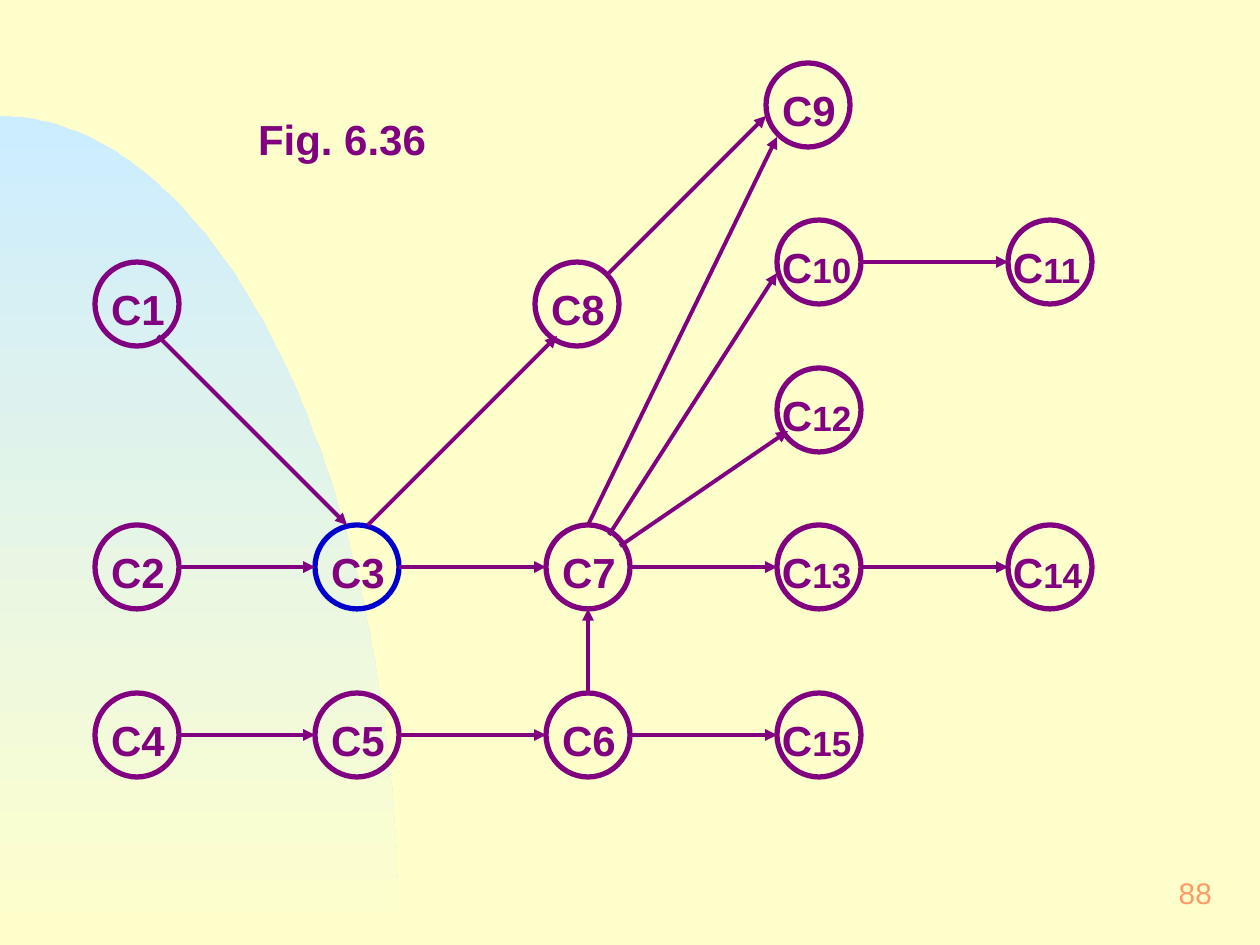
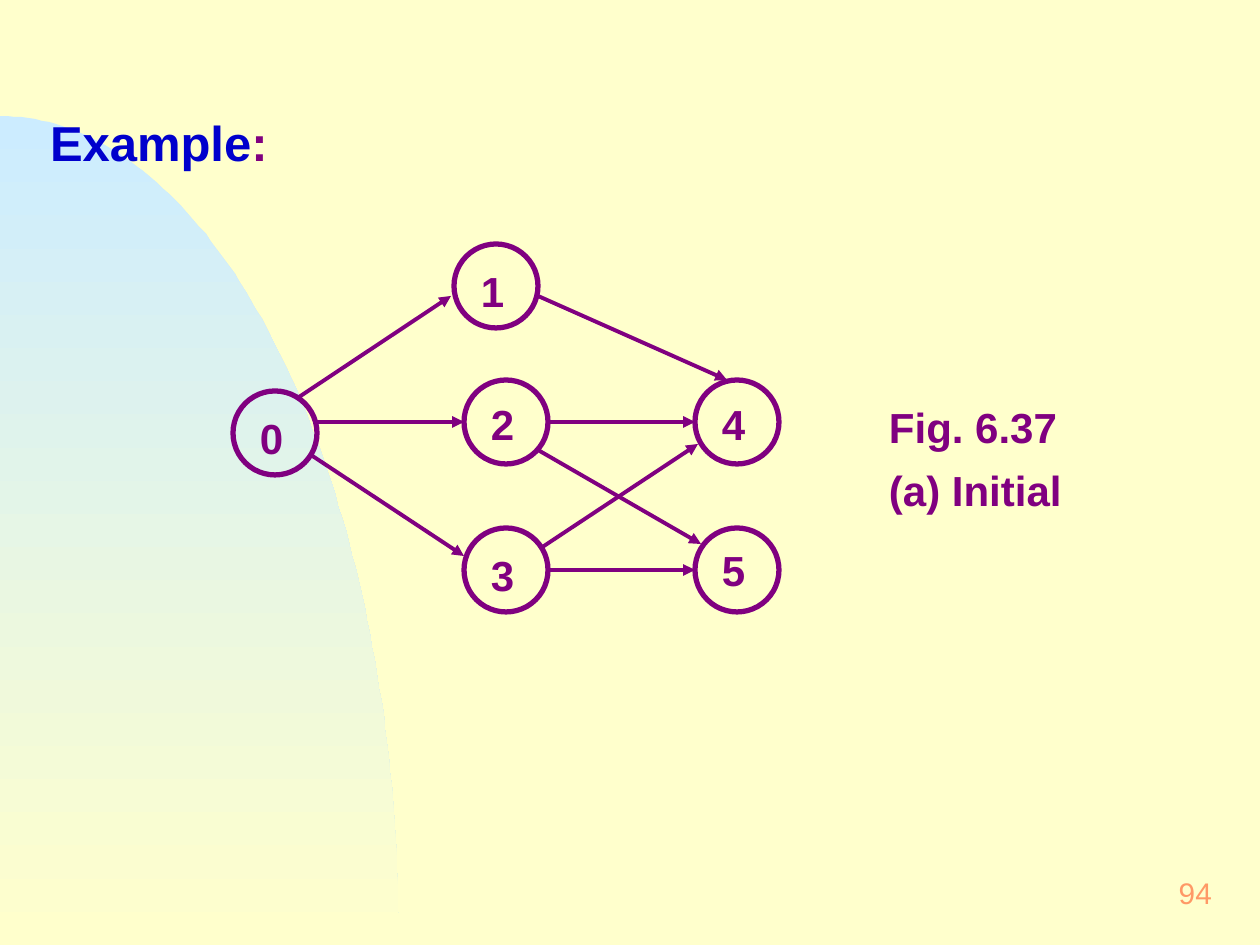
import math
from dataclasses import dataclass

import pptx
import pptx.dml.color
import pptx.enum.shapes
import pptx.enum.text
import pptx.oxml
import pptx.oxml.ns
import pptx.util


@dataclass(frozen=True)
class Theme:
    font: str = "Arial"
    background: str = "FFFFCC"
    sky: str = "CCECFF"
    purple: str = "800080"
    blue: str = "0000CC"
    orange: str = "FF9966"
    heading: int = 28
    label: int = 24
    index: int = 20
    number: int = 17
    circle_line: float = 3
    arrow_line: float = 2.25
    paragraph_gap: int = 7


THEME = Theme()
EMU_PER_PX = 914400 / 126
WIDTH, HEIGHT = 1260, 945
DIAMETER = 84
LABEL_HEIGHT = 65
LABEL_DROP = 14
LABEL_SHIFT_AND_WIDTH = {1: (11, 53), 2: (0, 94), 3: (-11, 126)}
ARC_RADII = (399, 829)
ARC_STEPS = 90
NUMBER_BOX = (966, 861, 262, 63)

LEFT_1, LEFT_2, LEFT_3, LEFT_4, LEFT_5 = 95, 315, 546, 777, 1008
ROW_MAIN, ROW_BOTTOM, ROW_TOP, ROW_C10 = 525, 693, 262, 220

SLIDES = [
    {
        "number": "88",
        "title": [("Fig. 6.36", THEME.label, THEME.purple)],
        "title_box": (242, 105, 242, 65),
        "nodes": {
            "C1": (LEFT_1, ROW_TOP),
            "C2": (LEFT_1, ROW_MAIN),
            "C4": (LEFT_1, ROW_BOTTOM),
            "C3": (LEFT_2, ROW_MAIN),
            "C5": (LEFT_2, ROW_BOTTOM),
            "C6": (LEFT_3, ROW_BOTTOM),
            "C15": (LEFT_4, ROW_BOTTOM),
            "C7": (LEFT_3, ROW_MAIN),
            "C8": (535, ROW_TOP),
            "C9": (766, 63),
            "C13": (LEFT_4, ROW_MAIN),
            "C12": (LEFT_4, 368),
            "C10": (LEFT_4, ROW_C10),
            "C14": (LEFT_5, ROW_MAIN),
            "C11": (LEFT_5, ROW_C10),
        },
        "highlighted": "C3",
        "label_drops": {},
        "straight_arrows": [
            ("C2", "C3"), ("C4", "C5"), ("C5", "C6"), ("C3", "C7"),
            ("C6", "C15"), ("C7", "C13"), ("C13", "C14"), ("C10", "C11"),
            ("C6", "C7"),
        ],
        "slanted_arrows": [
            (158, 336, 347, 525),
            (368, 525, 557, 336),
            (609, 273, 766, 116),
            (588, 525, 777, 137),
            (609, 535, 777, 273),
            (620, 546, 788, 431),
        ],
        "caption": [],
    },
    {
        "number": "94",
        "title": [
            ("Example", THEME.heading, THEME.blue),
            (":", THEME.heading, THEME.purple),
        ],
        "title_box": (34, 104, 1207, 74),
        "nodes": {
            "0": (233, 391),
            "1": (454, 244),
            "2": (464, 380),
            "3": (464, 528),
            "4": (695, 380),
            "5": (695, 528),
        },
        "highlighted": None,
        "label_drops": {"2": 11, "4": 11, "5": 9},
        "straight_arrows": [("2", "4"), ("3", "5")],
        "slanted_arrows": [
            (299, 397, 451, 296),
            (317, 422, 464, 422),
            (311, 455, 464, 556),
            (538, 296, 727, 380),
            (538, 450, 701, 544),
            (541, 548, 698, 444),
        ],
        "caption": ["Fig. 6.37", "(a) Initial"],
        "caption_box": (873, 394, 242, 127),
    },
]


def px(*lengths):
    return [round(length * EMU_PER_PX) for length in lengths]


def rgb(colour):
    return pptx.dml.color.RGBColor.from_string(colour)


def write(shape, paragraphs, bold=True, align="LEFT", anchor="TOP"):
    frame = shape.text_frame
    frame.word_wrap = True
    frame.auto_size = pptx.enum.text.MSO_AUTO_SIZE.NONE
    frame.vertical_anchor = getattr(pptx.enum.text.MSO_ANCHOR, anchor)
    frame.margin_left, frame.margin_right = px(16, 16)
    frame.margin_top, frame.margin_bottom = px(8, 8)
    for position, runs in enumerate(paragraphs):
        paragraph = frame.add_paragraph() if position else frame.paragraphs[0]
        paragraph.alignment = getattr(pptx.enum.text.PP_ALIGN, align)
        paragraph.space_before = pptx.util.Pt(THEME.paragraph_gap if position else 0)
        for text, size, colour in runs:
            run = paragraph.add_run()
            run.text = text
            run.font.name = THEME.font
            run.font.size = pptx.util.Pt(size)
            run.font.bold = bold
            run.font.color.rgb = rgb(colour)


def add_text(slide, box, paragraphs, **style):
    write(slide.shapes.add_textbox(*px(*box)), paragraphs, **style)


def add_node(slide, name, left, top, colour, drop):
    circle = slide.shapes.add_shape(
        pptx.enum.shapes.MSO_SHAPE.OVAL, *px(left, top, DIAMETER, DIAMETER)
    )
    circle.shadow.inherit = False
    circle.fill.background()
    circle.line.color.rgb = rgb(colour)
    circle.line.width = pptx.util.Pt(THEME.circle_line)

    shift, width = LABEL_SHIFT_AND_WIDTH[len(name)]
    runs = [(name, THEME.label, THEME.purple)]
    if len(name) == 3:
        runs = [
            (name[0], THEME.label, THEME.purple),
            (name[1:], THEME.index, THEME.purple),
        ]
    add_text(slide, (left + shift, top + drop, width, LABEL_HEIGHT), [runs])


def straight_ends(source, target):
    (left, top), (target_left, target_top) = source, target
    half = DIAMETER // 2
    if top == target_top:
        return left + DIAMETER, top + half, target_left, top + half
    return left + half, top, left + half, target_top + DIAMETER


def add_arrow(slide, ends):
    arrow = slide.shapes.add_connector(
        pptx.enum.shapes.MSO_CONNECTOR.STRAIGHT, *px(*ends)
    )
    arrow.line.color.rgb = rgb(THEME.purple)
    arrow.line.width = pptx.util.Pt(THEME.arrow_line)
    namespace = pptx.oxml.ns.nsdecls("a")
    properties = arrow._element.spPr
    properties.find(pptx.oxml.ns.qn("a:ln")).append(
        pptx.oxml.parse_xml(f'<a:tailEnd {namespace} type="triangle"/>')
    )
    properties.append(pptx.oxml.parse_xml(f"<a:effectLst {namespace}/>"))


def decorate_master(presentation, slide):
    master = presentation.slide_master
    master.background.fill.solid()
    master.background.fill.fore_color.rgb = rgb(THEME.background)

    radius_x, radius_y = ARC_RADII
    angles = [math.pi / 2 * step / ARC_STEPS for step in range(ARC_STEPS + 1)]
    arc = [
        (radius_x * math.sin(angle), HEIGHT - radius_y * math.cos(angle))
        for angle in angles
    ]
    builder = slide.shapes.build_freeform(*arc[0], scale=EMU_PER_PX)
    builder.add_line_segments(arc[1:] + [(0, HEIGHT)], close=True)
    hill = builder.convert_to_shape()
    hill.shadow.inherit = False
    hill.line.fill.background()
    hill.fill.gradient()
    hill.fill.gradient_angle = 270
    for stop, colour in zip(hill.fill.gradient_stops, (THEME.sky, THEME.background)):
        stop.color.rgb = rgb(colour)
    master.shapes._spTree.insert(2, hill._element)


def fill_slide(slide, content):
    title = slide.shapes.title
    title.left, title.top, title.width, title.height = px(*content["title_box"])
    write(title, [content["title"]])
    add_text(
        slide, NUMBER_BOX, [[(content["number"], THEME.number, THEME.orange)]],
        bold=False, align="RIGHT", anchor="MIDDLE",
    )
    nodes = content["nodes"]
    for name, (left, top) in nodes.items():
        colour = THEME.blue if name == content["highlighted"] else THEME.purple
        drop = content["label_drops"].get(name, LABEL_DROP)
        add_node(slide, name, left, top, colour, drop)
    for source, target in content["straight_arrows"]:
        add_arrow(slide, straight_ends(nodes[source], nodes[target]))
    for ends in content["slanted_arrows"]:
        add_arrow(slide, ends)
    if content["caption"]:
        lines = [[(text, THEME.label, THEME.purple)] for text in content["caption"]]
        add_text(slide, content["caption_box"], lines)


def main():
    presentation = pptx.Presentation()
    presentation.slide_width, presentation.slide_height = px(WIDTH, HEIGHT)
    title_only = presentation.slide_layouts.get_by_name("Title Only")
    slides = [presentation.slides.add_slide(title_only) for _ in SLIDES]
    decorate_master(presentation, slides[0])
    for slide, content in zip(slides, SLIDES):
        fill_slide(slide, content)
    presentation.save("out.pptx")


if __name__ == "__main__":
    main()
